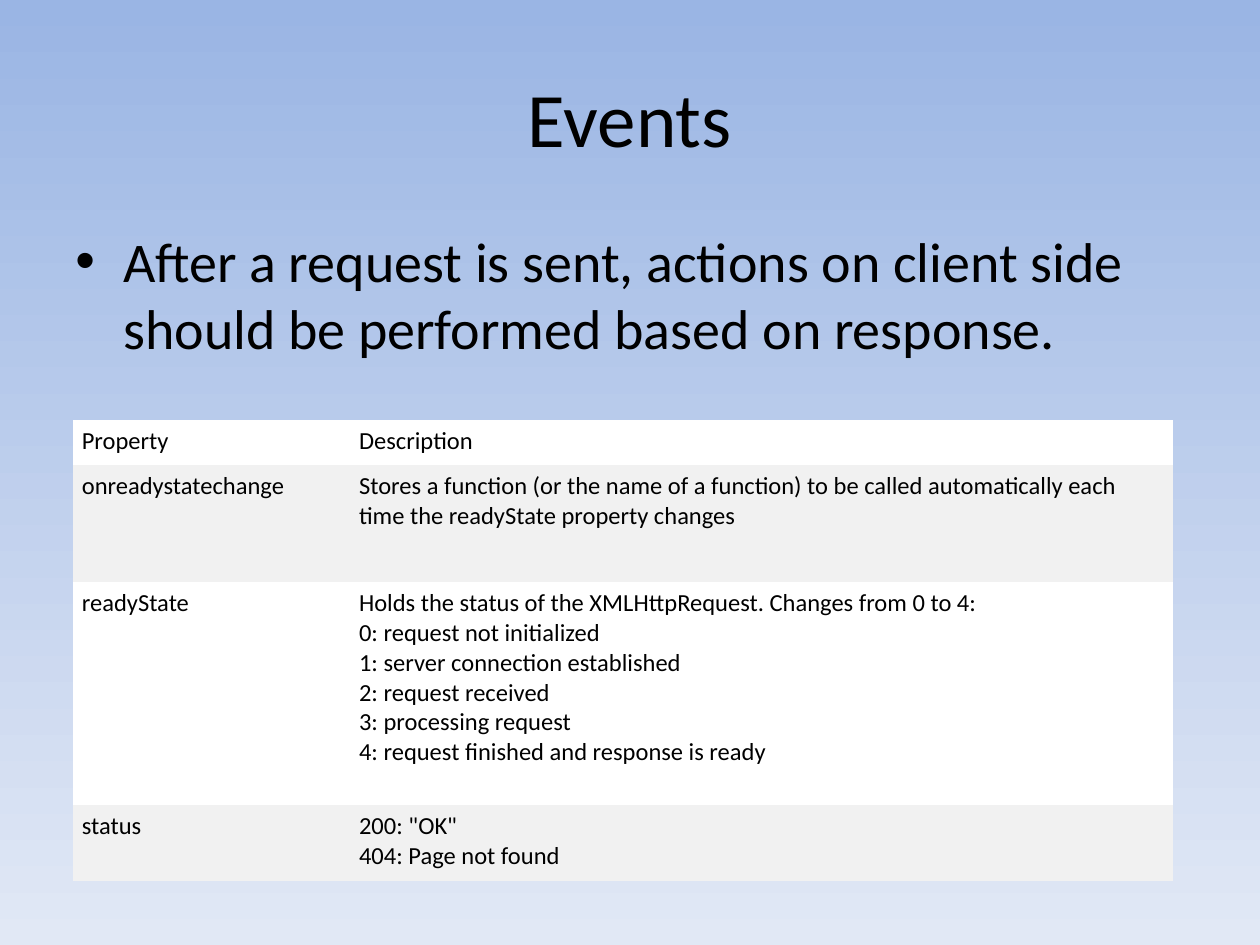
from lxml import etree
from pptx import Presentation
from pptx.dml.color import RGBColor
from pptx.oxml.ns import qn
from pptx.util import Inches, Pt
from pptx.enum import text


def tint(color, value):
    color.rgb = RGBColor.from_string(value)


def write(para, words, size):
    for num, line in enumerate(words.split("\n")):
        if num:
            para.add_line_break()
        run = para.add_run()
        run.text = line
        run.font.size = Pt(size)
        run.font.name = "Calibri"
        tint(run.font.color, "000000")


deck = Presentation()
deck.slide_width, deck.slide_height = Inches(10), Inches(7.5)
slide = deck.slides.add_slide(deck.slide_layouts[6])

back = slide.background.fill
back.gradient()
back.gradient_angle = 270
for stop, value, place in zip(back.gradient_stops, ("9AB5E4", "E1E8F5"), (0, 1)):
    tint(stop.color, value)
    stop.position = place

title = slide.shapes.add_textbox(Inches(0.5), Inches(0.3), Inches(9), Inches(1.25)).text_frame
title.word_wrap = True
title.vertical_anchor = text.MSO_ANCHOR.MIDDLE
title.paragraphs[0].alignment = text.PP_ALIGN.CENTER
write(title.paragraphs[0], "Events", 44)

body = slide.shapes.add_textbox(Inches(0.5), Inches(1.75), Inches(9), Inches(1.35)).text_frame
body.word_wrap = True
point = body.paragraphs[0]
props = point._p.get_or_add_pPr()
props.set("marL", str(Inches(0.38)))
props.set("indent", str(-Inches(0.38)))
etree.SubElement(props, qn("a:buFont")).set("typeface", "Arial")
etree.SubElement(props, qn("a:buChar")).set("char", "•")
write(point, "After a request is sent, actions on client side should be performed based on response.", 32)

rows = [
    (0.36, "Property", "Description"),
    (0.93, "onreadystatechange",
     "Stores a function (or the name of a function) to be called automatically each "
     "time the readyState property changes"),
    (1.77, "readyState",
     "Holds the status of the XMLHttpRequest. Changes from 0 to 4:\n"
     "0: request not initialized\n"
     "1: server connection established\n"
     "2: request received\n"
     "3: processing request\n"
     "4: request finished and response is ready"),
    (0.6, "status", '200: "OK"\n404: Page not found'),
]
table = slide.shapes.add_table(
    len(rows), 2, Inches(0.58), Inches(3.33), Inches(8.73), Inches(3.66)).table
table.first_row = table.horz_banding = False
style = table._tbl.tblPr.find(qn("a:tableStyleId"))
style.text = "{2D5ABB26-0587-4C30-8999-92F81FD0307C}"
for col, width in zip(table.columns, (2.2, 6.53)):
    col.width = Inches(width)

for num, (height, *words) in enumerate(rows):
    table.rows[num].height = Inches(height)
    for cell, phrase in zip(table.rows[num].cells, words):
        cell.margin_left = cell.margin_right = Inches(0.07)
        cell.margin_top = cell.margin_bottom = Inches(0.05)
        cell.fill.solid()
        tint(cell.fill.fore_color, ("FFFFFF", "F1F1F1")[num % 2])
        write(cell.text_frame.paragraphs[0], phrase, 14)

deck.save("out.pptx")
